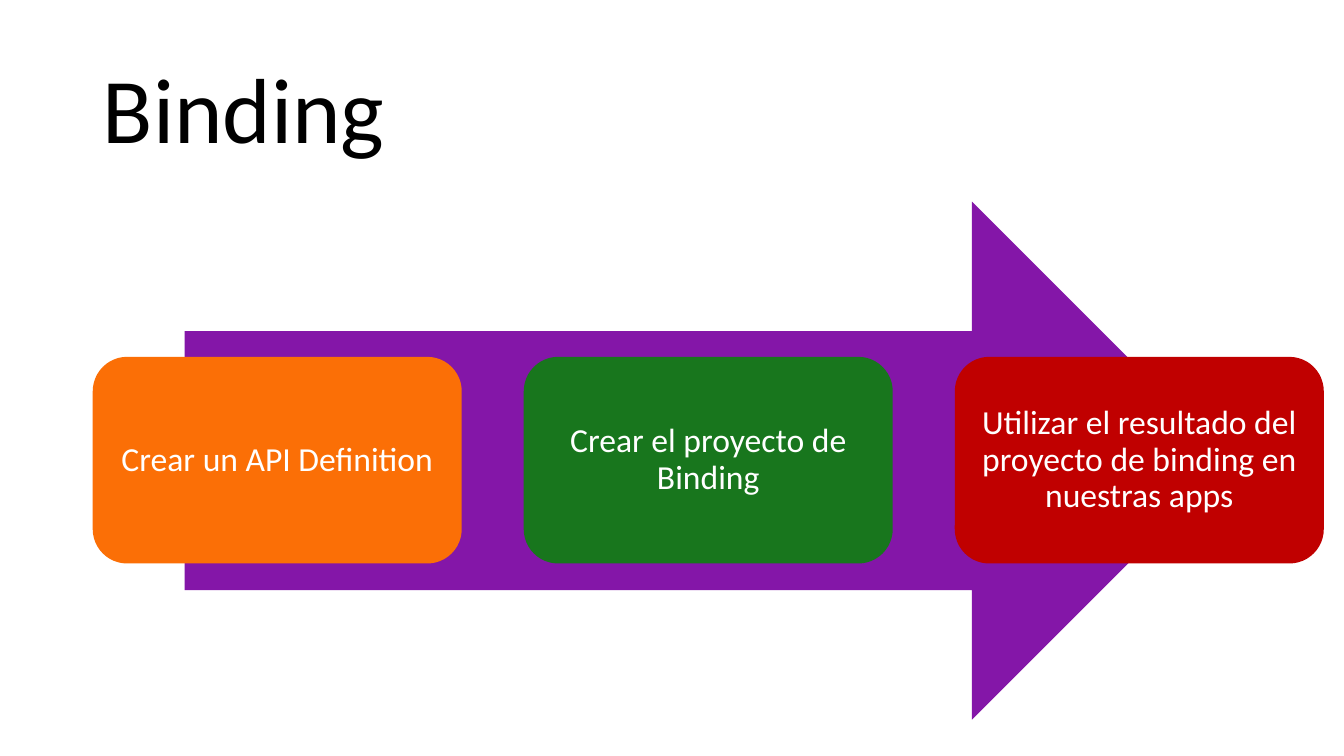
from dataclasses import dataclass

from pptx import Presentation
from pptx.dml.color import RGBColor
from pptx.enum.shapes import MSO_SHAPE as Shape
from pptx.enum.text import MSO_ANCHOR as Anchor, PP_ALIGN as Align
from pptx.shapes.autoshape import Shape as AutoShape
from pptx.slide import Slide
from pptx.text.text import TextFrame
from pptx.util import Inches, Pt

COLORS = {
    "text": "000000",
    "light": "FFFFFF",
    "arrow": "8416A8",
    "orange": "FB6F06",
    "green": "18761D",
    "red": "C00000",
}
FONT = "Calibri"
STEP_LEFT, STEP_TOP = 0.92, 3.54
STEP_WIDTH, STEP_HEIGHT = 3.66, 2.05
STEP_PITCH = 4.275


@dataclass
class Step:
    text: str
    color: str


STEPS = [
    Step("Crear un API Definition", "orange"),
    Step("Crear el proyecto de Binding", "green"),
    Step("Utilizar el resultado del proyecto de binding en nuestras apps", "red"),
]


def write(frame: TextFrame, text: str, size: float, color: str, align: Align) -> None:
    frame.text = text
    frame.word_wrap = True
    frame.vertical_anchor = Anchor.MIDDLE
    para = frame.paragraphs[0]
    para.alignment = align
    para.line_spacing = 0.9
    for span in para.runs:
        span.font.name = FONT
        span.font.size = Pt(size)
        span.font.color.rgb = RGBColor.from_string(COLORS[color])


def add_filled(page: Slide, kind: Shape, left: float, top: float,
               width: float, height: float, color: str) -> AutoShape:
    box = page.shapes.add_shape(
        kind, Inches(left), Inches(top), Inches(width), Inches(height))
    box.shadow.inherit = False
    box.fill.solid()
    box.fill.fore_color.rgb = RGBColor.from_string(COLORS[color])
    box.line.fill.background()
    return box


def add_step(page: Slide, index: int, step: Step) -> None:
    left = STEP_LEFT + index * STEP_PITCH
    box = add_filled(page, Shape.ROUNDED_RECTANGLE, left, STEP_TOP,
                     STEP_WIDTH, STEP_HEIGHT, step.color)
    frame = box.text_frame
    frame.margin_left = frame.margin_right = Inches(0.1)
    frame.margin_top = frame.margin_bottom = Inches(0.1)
    write(frame, step.text, 24, "light", Align.CENTER)


def add_title(page: Slide, text: str) -> None:
    title = page.shapes.title
    title.left, title.top = Inches(0.92), Inches(0.4)
    title.width, title.height = Inches(11.5), Inches(1.45)
    write(title.text_frame, text, 66, "text", Align.LEFT)


def main() -> None:
    deck = Presentation()
    deck.slide_width, deck.slide_height = Inches(13.33), Inches(7.5)
    page = deck.slides.add_slide(deck.slide_layouts.get_by_name("Title Only"))
    add_title(page, "Binding")
    add_filled(page, Shape.RIGHT_ARROW, 1.83, 2, 10.38, 5.14, "arrow")
    for index, step in enumerate(STEPS):
        add_step(page, index, step)
    deck.save("out.pptx")


if __name__ == "__main__":
    main()
